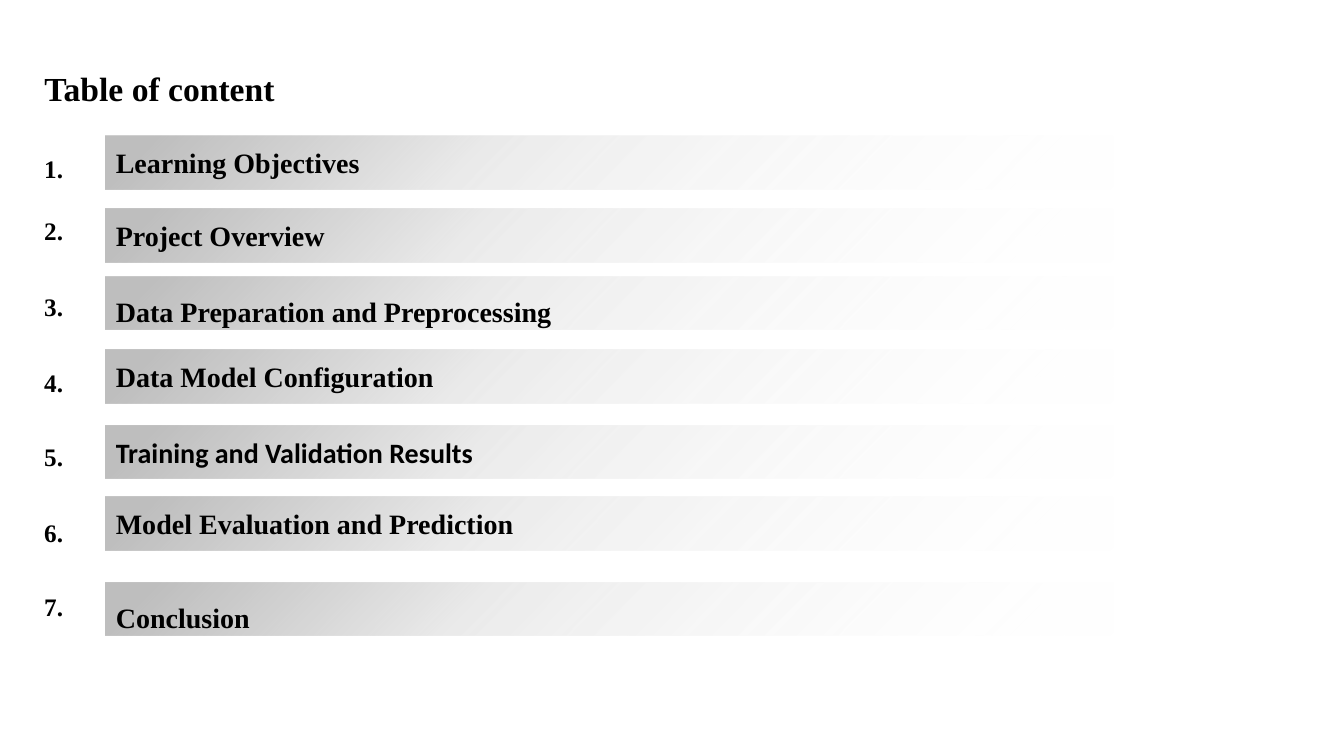
"""Build a table of contents slide with seven numbered gradient bars."""
from dataclasses import dataclass

from pptx import Presentation
from pptx.dml.color import RGBColor
from pptx.enum.text import MSO_ANCHOR, MSO_AUTO_SIZE, PP_ALIGN
from pptx.enum.shapes import MSO_SHAPE
from pptx.oxml import parse_xml
from pptx.oxml.ns import nsdecls, qn
from pptx.util import Pt

PX = 9144
RECT = MSO_SHAPE.RECTANGLE
LEFT = PP_ALIGN.LEFT
MIDDLE, TOP = MSO_ANCHOR.MIDDLE, MSO_ANCHOR.TOP
NO_FIT, GROW = MSO_AUTO_SIZE.NONE, MSO_AUTO_SIZE.SHAPE_TO_FIT_TEXT


@dataclass(frozen=True)
class Theme:
    """Colours, fonts and type sizes."""
    ink: str = "000000"
    bar_stops: tuple = ((5, "BFBFBF", 100), (37, "BFBFBF", 31), (100, "FFFFFF", 0))
    serif: str = "Times New Roman"
    sans: str = "Calibri"
    title: int = 24
    item: int = 20
    number: int = 18


theme = Theme()


def write(s, text, size, font, anchor, spacing=1.0):
    """Set one bold, left-aligned line of text."""
    tf = s.text_frame
    tf.text = text
    tf.vertical_anchor = anchor
    p = tf.paragraphs[0]
    p.alignment = LEFT
    p.line_spacing = spacing
    r = p.runs[0]
    r.font.name = font
    r.font.size = Pt(size)
    r.font.bold = True
    r.font.color.rgb = RGBColor.from_string(theme.ink)


def fill_bar(s):
    """Fade the bar diagonally from grey to clear."""
    s.fill.gradient()
    s.fill.gradient_angle = 315
    stops = s._element.spPr.find(qn("a:gradFill")).find(qn("a:gsLst"))
    for stop in list(stops):
        stops.remove(stop)
    for pos, color, alpha in theme.bar_stops:
        stops.append(parse_xml(
            f'<a:gs {nsdecls("a")} pos="{pos * 1000}"><a:srgbClr val="{color}">'
            f'<a:alpha val="{alpha * 1000}"/></a:srgbClr></a:gs>'))


prs = Presentation()
prs.slide_width, prs.slide_height = 1333 * PX, 750 * PX
slide = prs.slides.add_slide(prs.slide_layouts[5])

title = slide.shapes.title
title.left, title.top, title.width, title.height = (v * PX for v in (34, 64, 1108, 51))
write(title, "Table of content", theme.title, theme.serif, MIDDLE, 0.9)
title.text_frame.auto_size = NO_FIT

items = [
    ("Learning Objectives", 135, 147, theme.serif, 1.0),
    ("Project Overview", 207, 209, theme.serif, 1.0),
    ("Data Preparation and Preprocessing", 274, 284, theme.serif, 1.5),
    ("Data Model Configuration", 347, 359, theme.serif, 1.0),
    ("Training and Validation Results", 422, 433, theme.sans, 1.0),
    ("Model Evaluation and Prediction", 493, 508, theme.serif, 1.0),
    ("Conclusion", 578, 582, theme.serif, 1.5),
]
for number, (label, bar_top, number_top, font, spacing) in enumerate(items, 1):
    bar = slide.shapes.add_shape(RECT, 105 * PX, bar_top * PX, 999 * PX, 53 * PX)
    bar.shadow.inherit = False
    bar.line.fill.background()
    fill_bar(bar)
    write(bar, label, theme.item, font, MIDDLE, spacing)

    box = slide.shapes.add_textbox(34 * PX, number_top * PX, 45 * PX, 40 * PX)
    write(box, f"{number}.", theme.number, theme.serif, TOP)
    box.text_frame.word_wrap = False
    box.text_frame.auto_size = GROW

prs.save("out.pptx")
